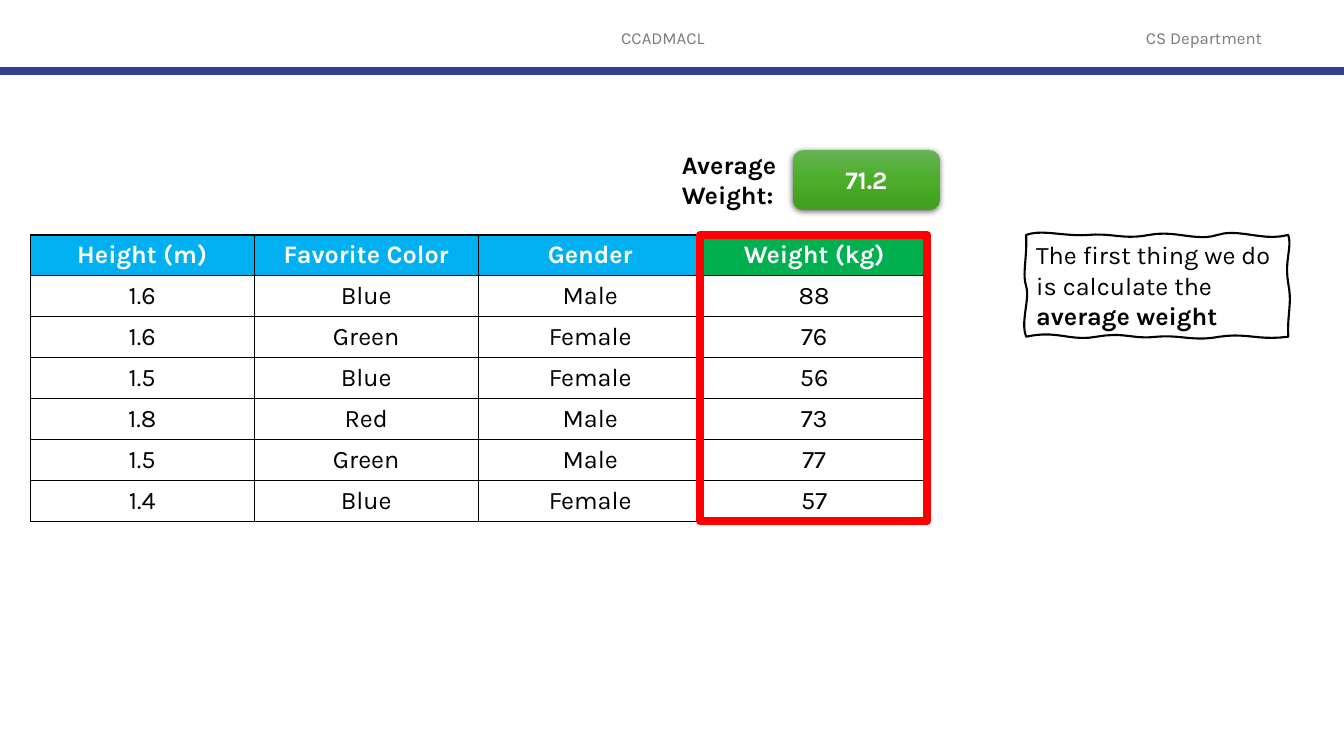
from pptx import Presentation
from pptx.dml.color import RGBColor
from pptx.enum.shapes import MSO_CONNECTOR, MSO_SHAPE
from pptx.enum.text import MSO_ANCHOR, PP_ALIGN
from pptx.oxml import parse_xml
from pptx.oxml.ns import nsdecls
from pptx.util import Pt

BLACK = RGBColor(0x00, 0x00, 0x00)
WHITE = RGBColor(0xFF, 0xFF, 0xFF)
GRAY = RGBColor(0x79, 0x79, 0x79)
NAVY = RGBColor(0x32, 0x41, 0x8C)
SKY = RGBColor(0x00, 0xB0, 0xF0)
GREEN = RGBColor(0x00, 0xB0, 0x50)
RED = RGBColor(0xFF, 0x00, 0x00)
BADGE_STOPS = [
    (0, RGBColor(0x66, 0xB3, 0x54)),
    (50, RGBColor(0x4B, 0xAD, 0x28)),
    (100, RGBColor(0x40, 0x9F, 0x1E)),
]

ROWS = [
    ("Height (m)", "Favorite Color", "Gender", "Weight (kg)"),
    ("1.6", "Blue", "Male", "88"),
    ("1.6", "Green", "Female", "76"),
    ("1.5", "Blue", "Female", "56"),
    ("1.8", "Red", "Male", "73"),
    ("1.5", "Green", "Male", "77"),
    ("1.4", "Blue", "Female", "57"),
]

NOTE_CURVES = [
    (11.5, -4.3, 27.4, 1.4, 44.6, 0),
    (61.9, -1.4, 69.8, 3.6, 87.8, 0),
    (106.6, -3.6, 121.7, 5, 136.8, 0),
    (151.9, -5, 169.2, 5, 187.2, 0),
    (190.1, 8.6, 184.3, 18.7, 187.2, 34.6),
    (190.1, 49.7, 186.5, 54.7, 187.2, 72.7),
    (166.3, 75.6, 157.7, 69.8, 138.2, 72.7),
    (119.5, 76.3, 110.9, 71.3, 93.6, 72.7),
    (76.3, 74.9, 70.6, 69.1, 50.4, 72.7),
    (31, 76.3, 22.3, 67.7, 0, 72.7),
    (-4.3, 62.6, 2.9, 45.4, 0, 36.7),
    (-2.9, 27.4, 0.7, 18, 0, 0),
]


def bezier(start, curve, steps=10):
    """Return points along one cubic curve, without its start."""
    x1, y1, x2, y2, x3, y3 = curve
    points = []
    for i in range(1, steps + 1):
        t = i / steps
        u = 1 - t
        points.append(tuple(
            u**3 * a + 3 * u * u * t * b + 3 * u * t * t * c + t**3 * d
            for a, b, c, d in zip(start, (x1, y1), (x2, y2), (x3, y3))
        ))
    return points


class Deck:
    """Hold the text style and the current slide, and draw its elements."""

    style = {"name": "Karla", "size": Pt(18), "bold": False}

    def __init__(self, slide):
        """Remember the slide to draw on."""
        self.s = slide

    def add_runs(self, tf, runs, color=BLACK, align=PP_ALIGN.LEFT, **changes):
        """Fill the first paragraph of a frame with (text, bold) runs."""
        p = tf.paragraphs[0]
        p.alignment = align
        for text, bold in runs:
            r = p.add_run()
            r.text = text
            for key, value in {**self.style, "bold": bold, **changes}.items():
                setattr(r.font, key, value)
            r.font.color.rgb = color

    def frame(self, tf, **format_values):
        """Make a text frame wrap and apply its format values."""
        for key, value in {"word_wrap": True, **format_values}.items():
            setattr(tf, key, value)

    def text(self, box, runs, parent=None, anchor=MSO_ANCHOR.TOP, inset=7.2, **style):
        """Add a text box to the slide or to a group."""
        sp = (parent or self.s).shapes.add_textbox(*map(Pt, box))
        self.frame(sp.text_frame, vertical_anchor=anchor, margin_right=Pt(inset))
        self.add_runs(sp.text_frame, runs, **style)

    def rule(self, y, width, color, weight):
        """Add a horizontal line from the left edge."""
        line = self.s.shapes.add_connector(
            MSO_CONNECTOR.STRAIGHT, 0, Pt(y), Pt(width), Pt(y))
        line.line.color.rgb = color
        line.line.width = Pt(weight)
        line._element.spPr.append(parse_xml(f"<a:effectLst {nsdecls('a')}/>"))

    def outline(self, sp, color, weight):
        """Give a shape an outline only."""
        sp.shadow.inherit = False
        sp.fill.background()
        sp.line.color.rgb = color
        sp.line.width = Pt(weight)

    def highlight(self, box, color, weight):
        """Add an empty rectangle around something."""
        sp = self.s.shapes.add_shape(MSO_SHAPE.RECTANGLE, *map(Pt, box))
        self.outline(sp, color, weight)

    def note(self, x, y, curves, runs):
        """Add a wavy outlined note with text."""
        points = [(0, 0)]
        for curve in curves:
            points += bezier(points[-1], curve)
        corners = [(Pt(x + dx), Pt(y + dy)) for dx, dy in points]
        builder = self.s.shapes.build_freeform(*corners[0])
        builder.add_line_segments(corners[1:], close=True)
        sp = builder.convert_to_shape()
        self.outline(sp, BLACK, 1.5)
        self.frame(sp.text_frame, vertical_anchor=MSO_ANCHOR.TOP,
                   margin_left=Pt(8.5), margin_top=Pt(5), margin_right=Pt(8))
        self.add_runs(sp.text_frame, runs)

    def badge(self, box, runs, parent, stops):
        """Add a rounded gradient box with a soft shadow."""
        sp = parent.shapes.add_shape(MSO_SHAPE.ROUNDED_RECTANGLE, *map(Pt, box))
        sp.line.fill.background()
        gs = "".join(
            f'<a:gs pos="{pos * 1000}"><a:srgbClr val="{color}"/></a:gs>'
            for pos, color in stops)
        spPr = sp._element.spPr
        spPr.prstGeom.addnext(parse_xml(
            f"<a:gradFill {nsdecls('a')}><a:gsLst>{gs}</a:gsLst>"
            '<a:lin ang="5400000" scaled="0"/></a:gradFill>'))
        spPr.append(parse_xml(
            f"<a:effectLst {nsdecls('a')}><a:outerShdw blurRad=\"{Pt(4.5)}\" "
            f'dist="{Pt(1.5)}" dir="5400000" algn="ctr" rotWithShape="0">'
            f'<a:srgbClr val="{BLACK}"><a:alpha val="63000"/></a:srgbClr>'
            "</a:outerShdw></a:effectLst>"))
        self.frame(sp.text_frame, vertical_anchor=MSO_ANCHOR.MIDDLE)
        self.add_runs(sp.text_frame, runs, color=WHITE, align=PP_ALIGN.CENTER)

    def table(self, x, y, column, row, rows, header_fills):
        """Add a bordered table with a coloured header row."""
        n, m = len(rows), len(rows[0])
        table = self.s.shapes.add_table(
            n, m, Pt(x), Pt(y), Pt(column * m), Pt(row * n)).table
        for line in table.rows:
            line.height = Pt(row)
        for i, values in enumerate(rows):
            for j, value in enumerate(values):
                cell = table.cell(i, j)
                cell.vertical_anchor = MSO_ANCHOR.MIDDLE
                self.add_runs(cell.text_frame, [(value, i == 0)],
                              color=BLACK if i else WHITE, align=PP_ALIGN.CENTER)
                tcPr = cell._tc.get_or_add_tcPr()
                for side in ("lnL", "lnR", "lnT", "lnB"):
                    tcPr.append(parse_xml(
                        f"<a:{side} {nsdecls('a')} w=\"{Pt(1)}\"><a:solidFill>"
                        f'<a:srgbClr val="{BLACK}"/></a:solidFill></a:{side}>'))
                if i:
                    cell.fill.background()
                else:
                    cell.fill.solid()
                    cell.fill.fore_color.rgb = header_fills[j]


def main():
    """Build the slide and save it."""
    prs = Presentation()
    prs.slide_width, prs.slide_height = Pt(960), Pt(540)
    s = prs.slides.add_slide(prs.slide_layouts[6])
    deck = Deck(s)
    header = {"anchor": MSO_ANCHOR.MIDDLE, "align": PP_ALIGN.CENTER,
              "color": GRAY, "size": Pt(12)}
    deck.text((318, 12.5, 324, 28.8), [("CCADMACL", False)], inset=20, **header)
    deck.text((786, 12.5, 148, 28.8), [("CS Department", False)], **header)
    deck.rule(50.6, 960, NAVY, 6)
    deck.table(21.6, 167.8, 160, 29.25, ROWS, [SKY, SKY, SKY, GREEN])
    deck.note(733, 167.8, NOTE_CURVES, [
        ("The first thing we do is calculate the ", False),
        ("average weight", True)])
    deck.highlight((500.2, 167.8, 162, 204.5), RED, 6)
    average = s.shapes.add_group_shape()
    deck.badge((566.6, 107.3, 104.6, 42.4), [("71.2", True)], average, BADGE_STOPS)
    deck.text((480, 103, 93.6, 51), [("Average Weight:", True)], parent=average)
    prs.save("out.pptx")


if __name__ == "__main__":
    main()
